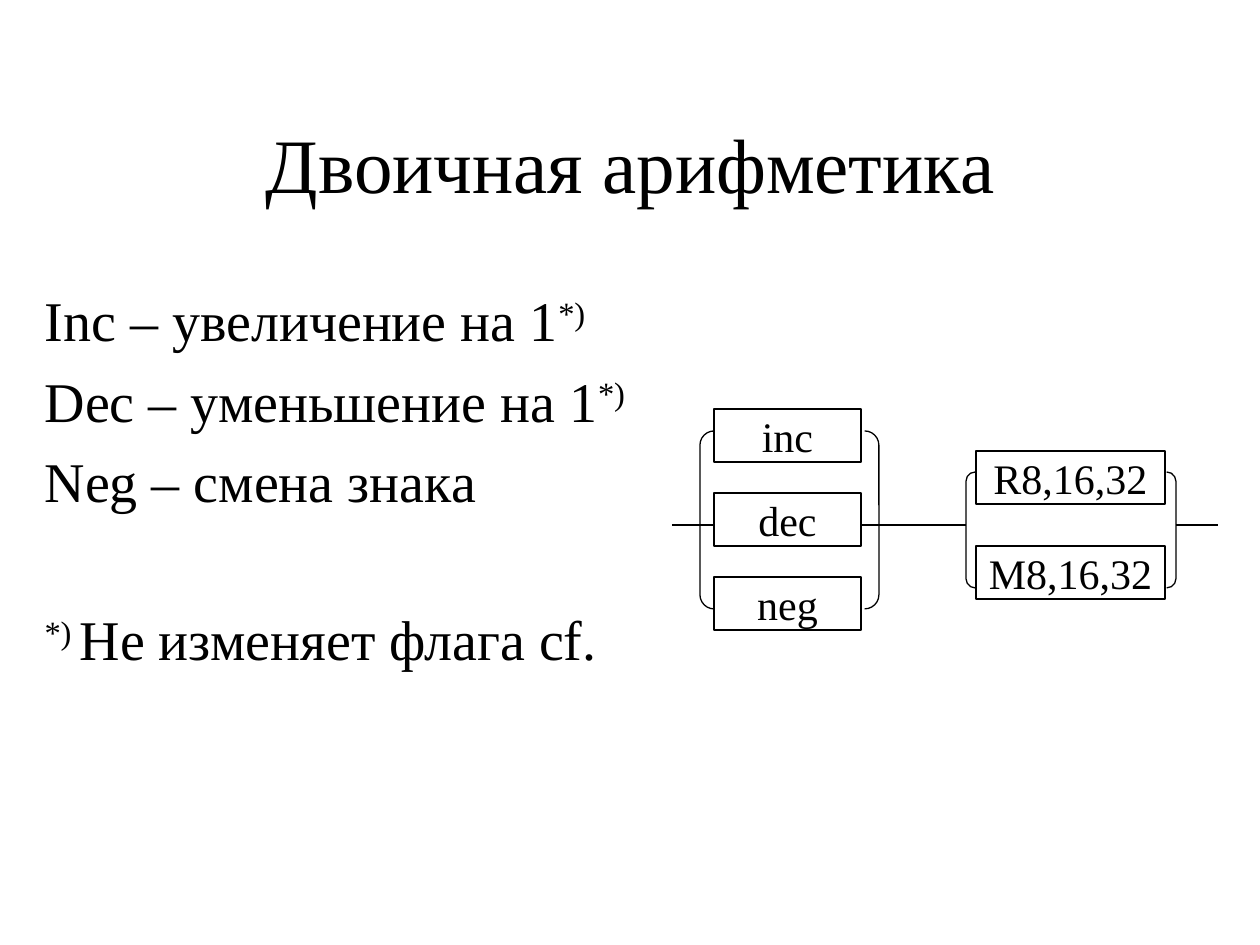
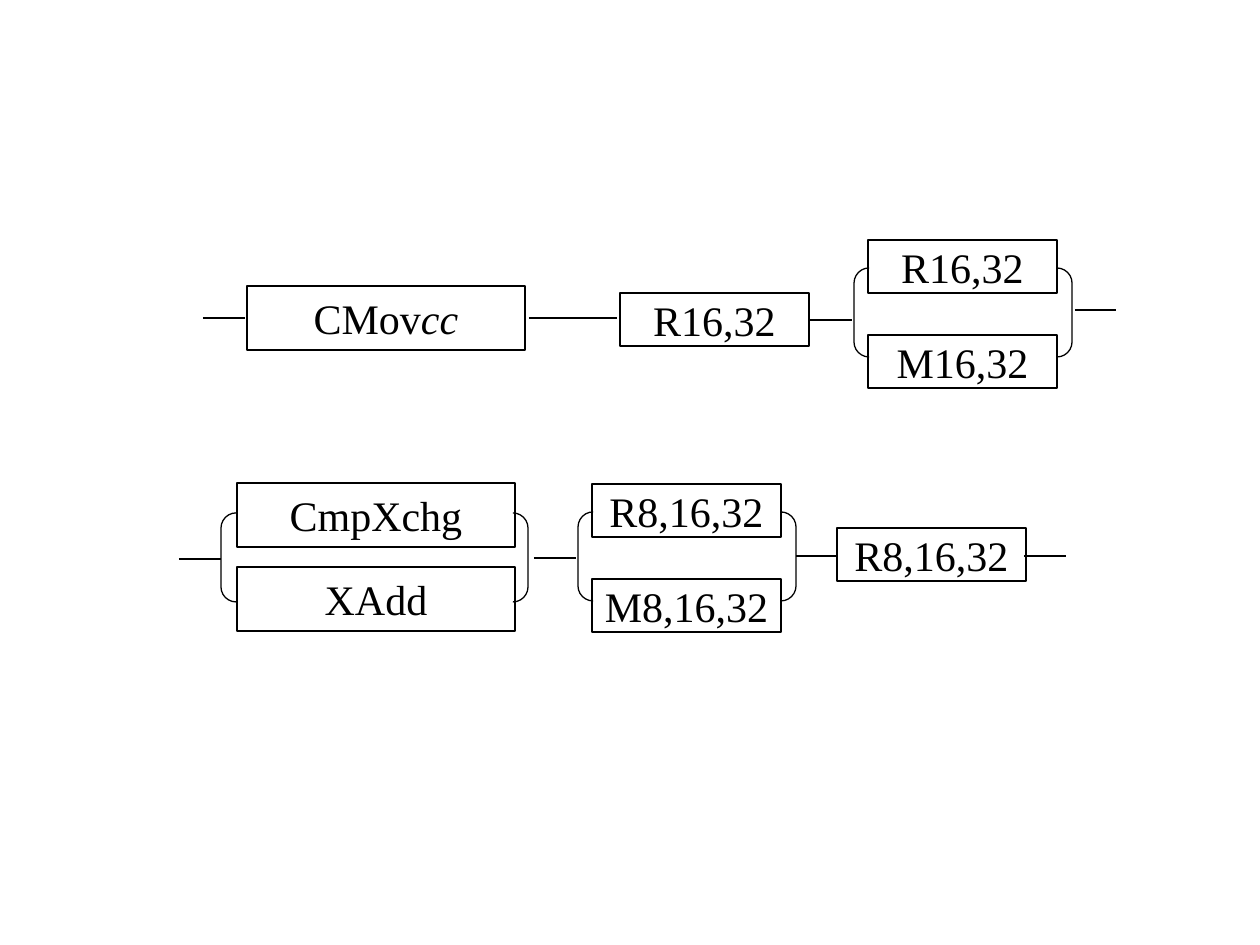
from dataclasses import dataclass

from lxml import etree
from pptx import Presentation
from pptx.dml.color import RGBColor
from pptx.enum.shapes import MSO_CONNECTOR, MSO_SHAPE
from pptx.enum.text import MSO_ANCHOR, MSO_AUTO_SIZE, PP_ALIGN
from pptx.oxml.ns import qn
from pptx.slide import Slide
from pptx.util import Emu, Pt

RECTANGLE, BRACKETS = MSO_SHAPE.RECTANGLE, MSO_SHAPE.DOUBLE_BRACKET
STRAIGHT = MSO_CONNECTOR.STRAIGHT
CENTER, LEFT = PP_ALIGN.CENTER, PP_ALIGN.LEFT
MIDDLE, TOP = MSO_ANCHOR.MIDDLE, MSO_ANCHOR.TOP
NO_FIT = MSO_AUTO_SIZE.NONE

# Shared look
COLORS = {"ink": "000000", "paper": "FFFFFF"}
FONT = "Times New Roman"
TITLE_SIZE, BODY_SIZE, LABEL_SIZE = 44, 32, 24
LINE_WIDTH = Pt(0.75)
PX_PER_INCH = 126
BOX_HEIGHT = 53
OPERAND_WIDTH, OPERAND_PITCH = 189, 95
COMMAND_WIDTH, COMMAND_HEIGHT, COMMAND_PITCH = 278, 64, 84
LINE_GAP, NOTE_GAP = 7.5, 52


@dataclass(frozen=True)
class Run:
    text: str
    italic: bool = False
    raised: bool = False


@dataclass(frozen=True)
class Stack:
    """Equal boxes placed one below another."""
    labels: tuple[tuple[Run, ...], ...]
    left: int
    top: int
    width: int = OPERAND_WIDTH
    height: int = BOX_HEIGHT
    pitch: int = OPERAND_PITCH
    filled: bool = True


@dataclass(frozen=True)
class Bracket:
    left: int
    top: int
    width: int
    height: int
    corner: float


@dataclass(frozen=True)
class Wire:
    start: int
    end: int
    y: int


def px(length: int) -> Emu:
    return Emu(round(length * 914400 / PX_PER_INCH))


def color(name: str) -> RGBColor:
    return RGBColor.from_string(COLORS[name])


def plain(*texts: str) -> tuple[tuple[Run, ...], ...]:
    return tuple((Run(text),) for text in texts)


def add_runs(para, runs: tuple[Run, ...], size: int) -> None:
    for run in runs:
        span = para.add_run()
        span.text = run.text
        span.font.name, span.font.size = FONT, Pt(size)
        span.font.color.rgb = color("ink")
        if run.italic:
            span.font.italic = True
        if run.raised:
            span.font._element.set("baseline", "30000")


def style_line(shape) -> None:
    shape.line.color.rgb = color("ink")
    shape.line.width = LINE_WIDTH


def place(shape, left: int, top: int, width: int, height: int) -> None:
    shape.left, shape.top = px(left), px(top)
    shape.width, shape.height = px(width), px(height)


def add_stack(page: Slide, stack: Stack) -> None:
    for row, runs in enumerate(stack.labels):
        box = page.shapes.add_shape(
            RECTANGLE, px(stack.left), px(stack.top + row * stack.pitch),
            px(stack.width), px(stack.height))
        box.shadow.inherit = False
        style_line(box)
        if stack.filled:
            box.fill.solid()
            box.fill.fore_color.rgb = color("paper")
        else:
            box.fill.background()
        frame = box.text_frame
        frame.word_wrap = False
        frame.vertical_anchor = MIDDLE
        frame.margin_top = frame.margin_bottom = 0
        para = frame.paragraphs[0]
        para.alignment = CENTER
        add_runs(para, runs, LABEL_SIZE)


def add_bracket(page: Slide, bracket: Bracket) -> None:
    shape = page.shapes.add_shape(
        BRACKETS, px(bracket.left), px(bracket.top),
        px(bracket.width), px(bracket.height))
    shape.adjustments[0] = bracket.corner
    shape.shadow.inherit = False
    shape.fill.background()
    style_line(shape)


def add_wire(page: Slide, wire: Wire) -> None:
    line = page.shapes.add_connector(
        STRAIGHT, px(wire.start), px(wire.y), px(wire.end), px(wire.y))
    style_line(line)
    etree.SubElement(line._element.spPr, qn("a:effectLst"))


def add_diagram(page: Slide, stacks: tuple[Stack, ...],
                brackets: tuple[Bracket, ...], wires: tuple[Wire, ...]) -> None:
    for stack in stacks:
        add_stack(page, stack)
    for bracket in brackets:
        add_bracket(page, bracket)
    for wire in wires:
        add_wire(page, wire)


def fill_title(page: Slide, text: str) -> None:
    title = page.shapes.title
    place(title, 95, 84, 1071, 158)
    frame = title.text_frame
    frame.auto_size = NO_FIT
    frame.vertical_anchor = MIDDLE
    para = frame.paragraphs[0]
    para.alignment = CENTER
    add_runs(para, (Run(text),), TITLE_SIZE)


def fill_body(page: Slide, lines: tuple[tuple[Run, ...], ...],
              gaps: tuple[float, ...]) -> None:
    body = page.placeholders[1]
    place(body, 32, 273, 630, 567)
    frame = body.text_frame
    frame.auto_size = NO_FIT
    frame.vertical_anchor = TOP
    frame.margin_top = px(13)
    for index, (runs, gap) in enumerate(zip(lines, gaps)):
        para = frame.add_paragraph() if index else frame.paragraphs[0]
        properties = para._p.get_or_add_pPr()
        properties.set("marL", str(px(47)))
        properties.set("indent", str(-px(47)))
        etree.SubElement(properties, qn("a:buNone"))
        para.alignment = LEFT
        para.space_before = Pt(gap)
        add_runs(para, runs, BODY_SIZE)


def build_arithmetic(deck) -> None:
    page = deck.slides.add_slide(deck.slide_layouts[1])
    fill_title(page, "Двоичная арифметика")
    mark = Run("*)", raised=True)
    fill_body(page, (
        (Run("Inc – увеличение на 1"), mark),
        (Run("Dec – уменьшение на 1"), mark),
        (Run("Neg – смена знака"),),
        (Run("*) ", raised=True), Run("Не изменяет флага cf.")),
    ), (0, LINE_GAP, LINE_GAP, NOTE_GAP))
    add_diagram(
        page,
        (Stack(plain("inc", "dec", "neg"), 714, 409, width=147, pitch=84),
         Stack(plain("R8,16,32", "M8,16,32"), 976, 451)),
        (Bracket(700, 431, 179, 178, 0.08), Bracket(966, 472, 210, 116, 0.08)),
        (Wire(861, 966, 525), Wire(672, 714, 525), Wire(1176, 1218, 525)))


def build_exchange(deck) -> None:
    page = deck.slides.add_slide(deck.slide_layouts[6])
    command = {"width": COMMAND_WIDTH, "height": COMMAND_HEIGHT,
               "pitch": COMMAND_PITCH, "filled": False}
    # Conditional move
    add_diagram(
        page,
        (Stack(((Run("CMov"), Run("cc", italic=True)),), 247, 286, **command),
         Stack(plain("R16,32"), 620, 293),
         Stack(plain("R16,32", "M16,32"), 868, 240)),
        (Bracket(854, 268, 218, 89, 0.17),),
        (Wire(203, 245, 318), Wire(529, 617, 318),
         Wire(810, 852, 320), Wire(1075, 1116, 310)))
    # Compare and add with exchange
    add_diagram(
        page,
        (Stack(plain("CmpXchg", "XAdd"), 237, 483, **command),
         Stack(plain("R8,16,32", "M8,16,32"), 592, 484),
         Stack(plain("R8,16,32"), 837, 528)),
        (Bracket(221, 513, 307, 89, 0.17), Bracket(578, 512, 218, 89, 0.17)),
        (Wire(179, 221, 559), Wire(534, 576, 558),
         Wire(796, 838, 556), Wire(1024, 1066, 556)))


def main() -> None:
    deck = Presentation()
    deck.slide_width, deck.slide_height = px(1260), px(945)
    build_arithmetic(deck)
    build_exchange(deck)
    deck.save("out.pptx")


if __name__ == "__main__":
    main()
